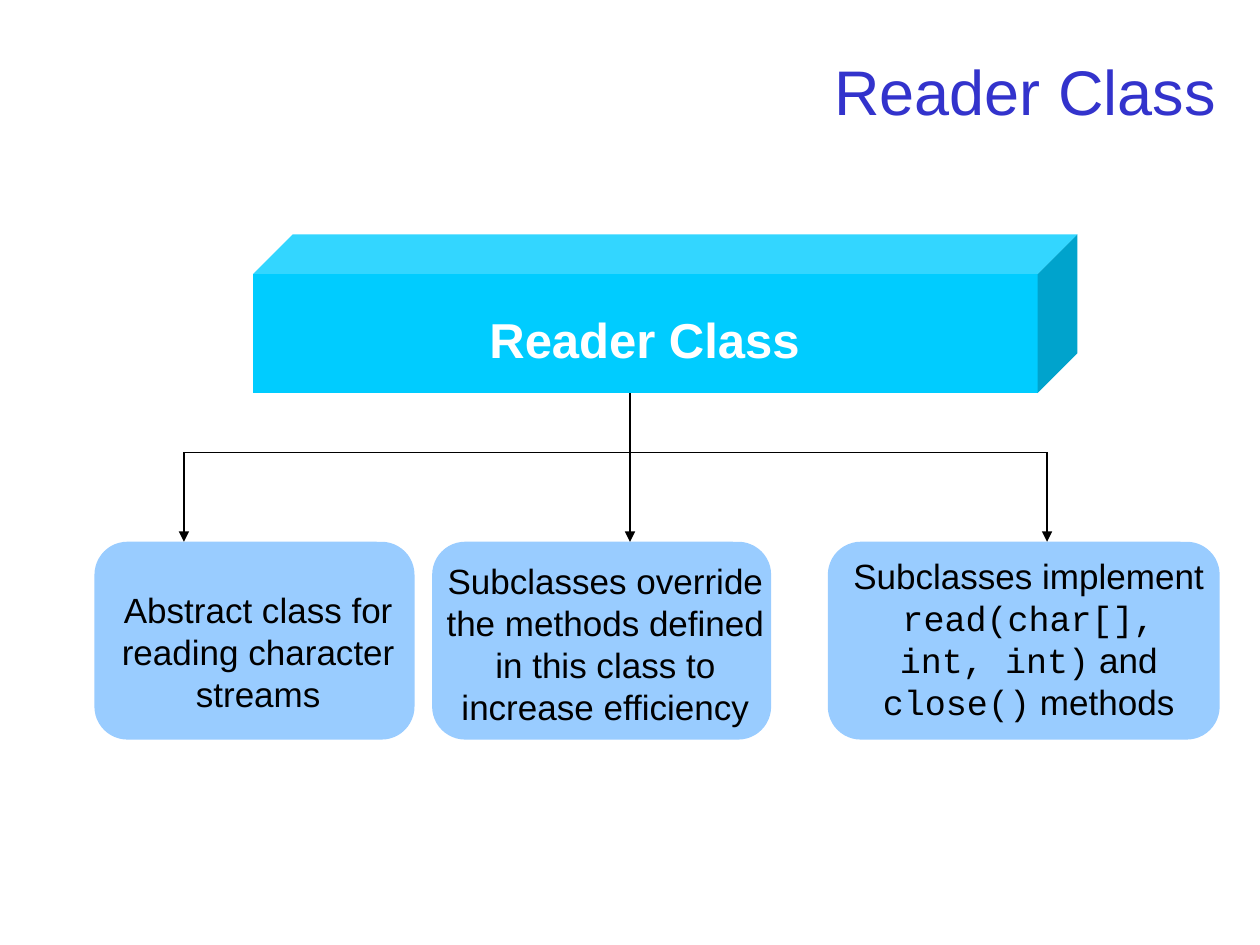
from pptx import Presentation
from pptx.dml.color import RGBColor
from pptx.enum.shapes import MSO_CONNECTOR, MSO_SHAPE
from pptx.enum.text import MSO_ANCHOR, MSO_AUTO_SIZE, PP_ALIGN
from pptx.oxml.ns import qn
from pptx.util import Inches, Pt
from lxml.etree import SubElement

COLUMNS, ROWS = 100, 75
SANS, MONO = "Arial", "Courier New"


def colour(value):
    return RGBColor.from_string(value)


class Diagram:
    title_colour = "3333CC"
    banner_colour = "00CCFF"
    card_colour = "99CCFF"
    ink = "000000"
    paper = "FFFFFF"

    def __init__(self, deck):
        self.cell_width = deck.slide_width / COLUMNS
        self.cell_height = deck.slide_height / ROWS
        self.slide = deck.slides.add_slide(deck.slide_layouts[5])

    def place(self, column, row, *size):
        corner = [round(column * self.cell_width), round(row * self.cell_height)]
        return corner + (self.place(*size) if size else [])

    def add_runs(self, frame, runs, size, ink, align, bold=False, before=0):
        paragraph = frame.paragraphs[0]
        paragraph.alignment = align
        paragraph.space_before = Pt(before)
        for words, face in runs:
            run = paragraph.add_run()
            run.text = words
            run.font.name = face
            run.font.size = Pt(size)
            run.font.bold = bold
            run.font.color.rgb = colour(ink)

    def title(self, words, area):
        heading = self.slide.shapes.title
        heading.left, heading.top, heading.width, heading.height = self.place(*area)
        heading.text_frame.vertical_anchor = MSO_ANCHOR.MIDDLE
        self.add_runs(heading.text_frame, [(words, SANS)], 36, self.title_colour,
                      PP_ALIGN.RIGHT)

    def block(self, kind, area, fill, label_area, runs, **style):
        group = self.slide.shapes.add_group_shape()
        body = group.shapes.add_shape(kind, *self.place(*area))
        body.shadow.inherit = False
        body.fill.solid()
        body.fill.fore_color.rgb = colour(fill)
        body.line.fill.background()
        label = group.shapes.add_textbox(*self.place(*label_area)).text_frame
        label.word_wrap = True
        label.auto_size = MSO_AUTO_SIZE.SHAPE_TO_FIT_TEXT
        self.add_runs(label, runs, align=PP_ALIGN.CENTER, **style)

    def banner(self, words, area, label_area):
        self.block(MSO_SHAPE.CUBE, area, self.banner_colour, label_area, [(words, SANS)],
                   size=28, ink=self.paper, bold=True, before=17.5)

    def card(self, runs, area, label_area):
        self.block(MSO_SHAPE.ROUNDED_RECTANGLE, area, self.card_colour, label_area, runs,
                   size=20, ink=self.ink, before=12.5)

    def line(self, start, end, arrow=False):
        connector = self.slide.shapes.add_connector(
            MSO_CONNECTOR.STRAIGHT, *self.place(*start), *self.place(*end))
        connector.line.color.rgb = colour(self.ink)
        connector.line.width = Pt(0.75)
        properties = connector.element.spPr
        if arrow:
            SubElement(properties.find(qn("a:ln")), qn("a:tailEnd"), type="triangle")
        SubElement(properties, qn("a:effectLst"))


def main():
    deck = Presentation()
    deck.slide_width, deck.slide_height = Inches(10), Inches(7.5)
    diagram = Diagram(deck)
    diagram.title("Reader Class", (7.5, 2.8, 90, 8.7))

    banner_top, banner_height = 18.6, 12.6
    banner_bottom = banner_top + banner_height
    diagram.banner("Reader Class", (20.1, banner_top, 65.4, banner_height),
                   (24, 24.1, 54.3, 5.7))

    card_top, card_height = 43, 15.7
    cards = [
        (7.5, 25.4, (7.5, 46.2, 26, 11),
         [("Abstract class for reading character streams", SANS)]),
        (34.3, 26.9, (34.3, 43.9, 27.5, 14.4),
         [("Subclasses override the methods defined in this class to increase efficiency",
           SANS)]),
        (65.7, 31.1, (66.5, 43.5, 30.3, 14.4),
         [("Subclasses implement ", SANS), ("read(char[], int, int)", MONO),
          (" and ", SANS), ("close()", MONO), (" methods", SANS)]),
    ]
    for left, width, label_area, runs in cards:
        diagram.card(runs, (left, card_top, width, card_height), label_area)

    branch_row = 35.9
    branches = first, trunk, last = 14.6, 50, 83.1
    diagram.line((trunk, banner_bottom), (trunk, branch_row))
    diagram.line((first, branch_row), (last, branch_row))
    for column in branches:
        diagram.line((column, branch_row), (column, card_top), arrow=True)

    deck.save("out.pptx")


if __name__ == "__main__":
    main()
